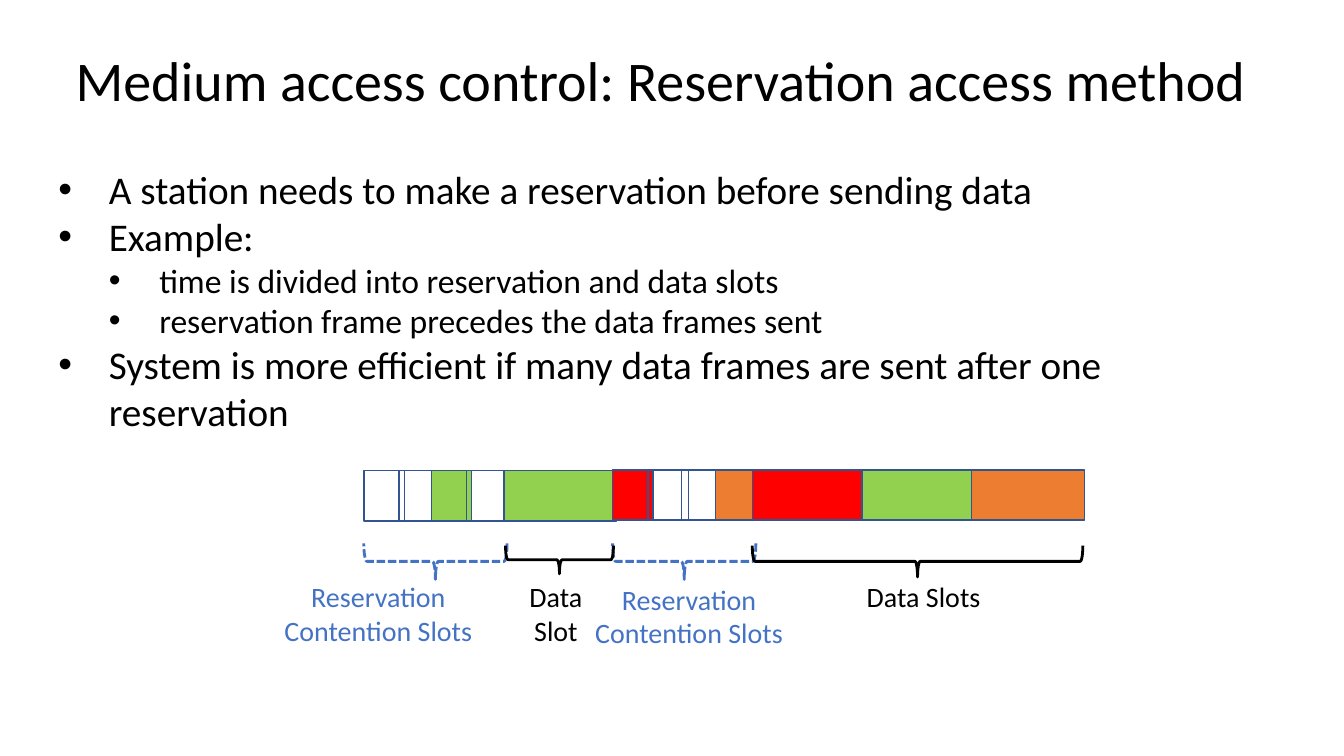
from pptx import Presentation
from pptx.dml.color import RGBColor
from pptx.enum.dml import MSO_LINE as Dash
from pptx.enum.shapes import MSO_SHAPE as Form
from pptx.enum.text import MSO_ANCHOR as Anchor, MSO_AUTO_SIZE as Fit, PP_ALIGN as Align
from pptx.util import Cm, Pt
from lxml.etree import SubElement
from pptx.oxml.ns import qn

BLACK, WHITE, BLUE, NAVY = "000000", "FFFFFF", "4472C4", "325491"
GREEN, RED, ORANGE = "92D050", "FF0000", "ED7D31"


def color(code):
    return RGBColor.from_string(code)


class Deck:
    """Draws styled elements on the current slide, with lengths in centimetres."""

    face = "Calibri"

    def __init__(self):
        self.prs = Presentation()
        self.prs.slide_width, self.prs.slide_height = Cm(33.87), Cm(19.05)
        self.slide = self.prs.slides.add_slide(self.prs.slide_layouts[1])

    def place(self, shape, left, top, width, height):
        shape.left, shape.top = Cm(left), Cm(top)
        shape.width, shape.height = Cm(width), Cm(height)

    def style(self, para, text, size, ink=BLACK, align=Align.LEFT):
        para.text = text
        para.alignment = align
        para.space_before = Pt(0)
        font = para.font
        font.name, font.size = self.face, Pt(size)
        font.color.rgb = color(ink)

    def title(self, text, *area):
        shape = self.slide.shapes.title
        self.place(shape, *area)
        shape.fill.solid()
        shape.fill.fore_color.rgb = color(WHITE)
        frame = shape.text_frame
        frame.auto_size, frame.vertical_anchor = Fit.NONE, Anchor.MIDDLE
        self.style(frame.paragraphs[0], text, 40)

    def bullets(self, items, *area):
        shape = self.slide.placeholders[1]
        self.place(shape, *area)
        frame = shape.text_frame
        frame.auto_size = Fit.NONE
        for row, (level, text) in enumerate(items):
            para = frame.add_paragraph() if row else frame.paragraphs[0]
            para.level = level
            props = para._p.get_or_add_pPr()
            props.set("marL", str(Cm(1.27 * (level + 1))))
            props.set("indent", str(Cm(-1.27)))
            SubElement(props, qn("a:buFont"), typeface="Arial")
            SubElement(props, qn("a:buChar"), char="•")
            self.style(para, text, 28 - 4 * level)

    def shape(self, form, area, ink, weight, fill=None):
        shape = self.slide.shapes.add_shape(form, *map(Cm, area))
        shape.shadow.inherit = False
        shape.line.color.rgb = color(ink)
        shape.line.width = Pt(weight)
        if fill:
            shape.fill.solid()
            shape.fill.fore_color.rgb = color(fill)
        else:
            shape.fill.background()
        return shape

    def slots(self, top, cells):
        for left, width, fill in cells:
            self.shape(Form.RECTANGLE, (left, top, width, 1.27), NAVY, 1, fill)

    def brace(self, left, top, width, height, ink, dash=None):
        shift = (width - height) / 2
        area = (left + shift, top - shift, height, width)
        shape = self.shape(Form.LEFT_BRACE, area, ink, 2)
        shape.rotation = 270
        if dash:
            shape.line.dash_style = dash

    def label(self, text, left, top, width, height, ink):
        box = self.slide.shapes.add_textbox(*map(Cm, (left, top, width, height)))
        box.text_frame.word_wrap = True
        self.style(box.text_frame.paragraphs[0], text, 20, ink, Align.CENTER)


def main():
    deck = Deck()
    deck.title("Medium access control: Reservation access method", 1.65, 1.02, 30.56, 1.96)
    deck.bullets([
        (0, "A station needs to make a reservation before sending data"),
        (0, "Example:"),
        (1, "time is divided into reservation and data slots"),
        (1, "reservation frame precedes the data frames sent"),
        (0, "System is more efficient if many data frames are sent after one reservation"),
    ], 1.22, 4.04, 31.43, 5.89)

    thin, wide = 1.02, 2.84
    deck.slots(11.86, [(9.17, thin, None), (10.06, thin, None), (10.87, thin, GREEN),
                       (11.76, thin, None), (12.7, wide, GREEN)])
    deck.slots(11.84, [(15.44, thin, RED), (16.33, thin, None), (17.17, thin, None),
                       (18.03, thin, ORANGE), (18.97, wide, RED), (21.72, wide, GREEN),
                       (24.49, wide, ORANGE)])

    for left, side, top in ((9.17, 6.78, 14.48), (15.44, 14.61, 14.55)):
        deck.brace(left, 13.69, 3.61, 0.91, BLUE, Dash.SQUARE_DOT)
        deck.label("Reservation Contention Slots", side, top, 5.51, 1.96, BLUE)
    deck.brace(12.74, 13.75, 2.72, 0.71, BLACK)
    deck.label("Data Slot", 12.5, 14.48, 3.02, 1.96, BLACK)
    deck.brace(18.96, 13.75, 8.33, 0.79, BLACK)
    deck.label("Data Slots", 20.52, 14.48, 5.51, 1.12, BLACK)
    deck.prs.save("out.pptx")


if __name__ == "__main__":
    main()
